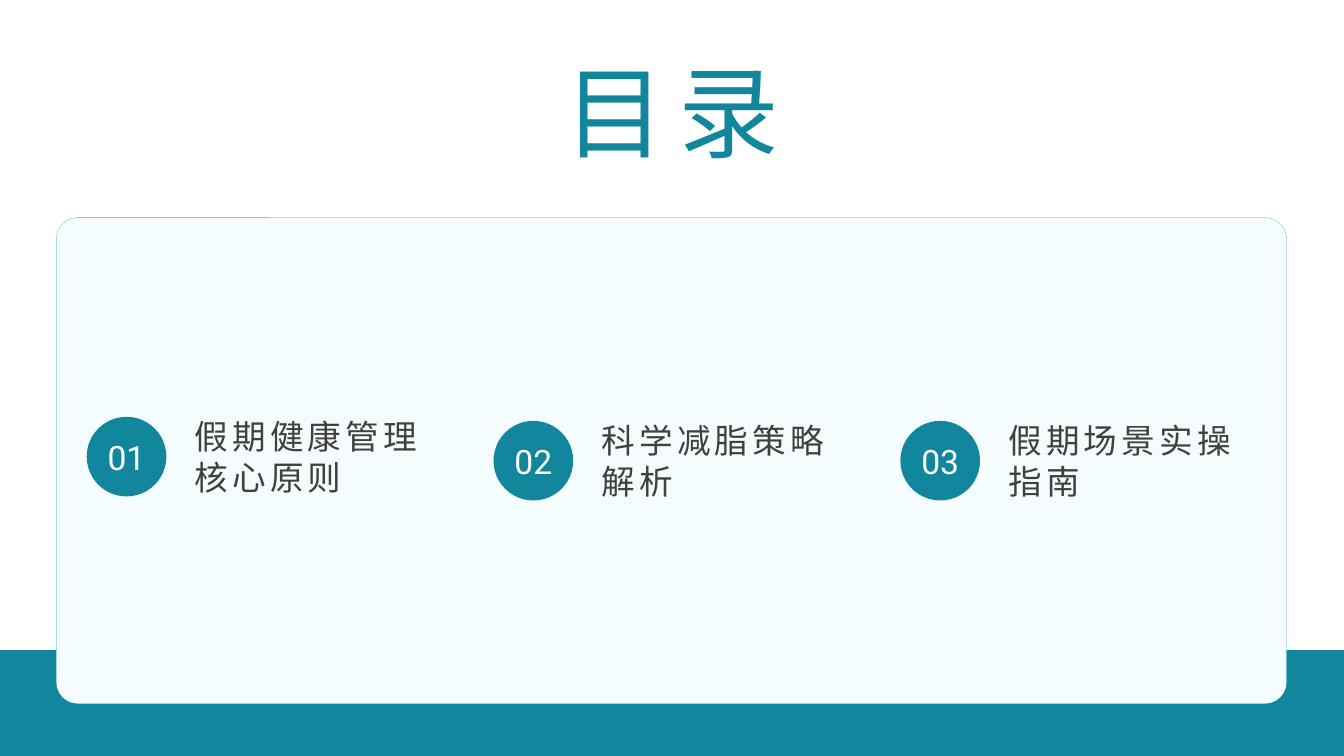
from pptx import Presentation
from pptx.dml.color import RGBColor
from pptx.enum.shapes import MSO_SHAPE
from pptx.enum.text import MSO_ANCHOR, MSO_AUTO_SIZE, PP_ALIGN
from pptx.oxml.ns import qn
from pptx.util import Inches, Pt
from lxml import etree

WIDTH, HEIGHT = 13.33, 7.5
FONT = "Roboto"
COLORS = {"teal": "11869C", "mist": "F4FCFE", "white": "FFFFFF", "ink": "404040"}
CHAPTERS = [
    ("01", "假期健康管理核心原则", -0.04),
    ("02", "科学减脂策略解析", 0),
    ("03", "假期场景实操指南", 0),
]


def rgb(name):
    return RGBColor.from_string(COLORS[name])


def place(shape, box):
    shape.left, shape.top, shape.width, shape.height = map(Inches, box)


def write(shape, text, size=24, color="ink", align=PP_ALIGN.LEFT, spacing=0):
    frame = shape.text_frame
    frame.word_wrap = True
    frame.auto_size = MSO_AUTO_SIZE.NONE
    frame.vertical_anchor = MSO_ANCHOR.MIDDLE
    frame.margin_left = frame.margin_right = frame.margin_top = frame.margin_bottom = 0
    paragraph = frame.paragraphs[0]
    paragraph.alignment = align
    run = paragraph.add_run()
    run.text = text
    run.font.size = Pt(size)
    run.font.name = FONT
    run.font.color.rgb = rgb(color)
    properties = run.font._element
    etree.SubElement(properties, qn("a:ea"), typeface=FONT)
    if spacing:
        properties.set("spc", str(spacing * 100))


def draw(slide, kind, box, fill, line=None, opacity=None, corner=None):
    shape = slide.shapes.add_shape(kind, *map(Inches, box))
    shape.shadow.inherit = False
    shape.fill.solid()
    shape.fill.fore_color.rgb = rgb(fill)
    if opacity is not None:
        tint = shape._element.spPr.find(qn("a:solidFill"))[0]
        etree.SubElement(tint, qn("a:alpha"), val=str(opacity * 1000))
    if line:
        shape.line.color.rgb = rgb(line)
        shape.line.width = Pt(0.25)
    else:
        shape.line.fill.background()
    if corner is not None:
        shape.adjustments[0] = corner
    return shape


def add_heading(slide, box):
    heading = slide.shapes.title
    place(heading, box)
    write(heading, "目录", size=72, color="teal", align=PP_ALIGN.CENTER, spacing=10)


def add_backdrop(slide, card):
    band = (0, HEIGHT * 0.86, WIDTH, HEIGHT * 0.14)
    draw(slide, MSO_SHAPE.RECTANGLE, band, "teal")
    draw(slide, MSO_SHAPE.ROUNDED_RECTANGLE, card, "white", line="teal", corner=0.044)
    draw(slide, MSO_SHAPE.ROUNDED_RECTANGLE, card, "mist", opacity=85, corner=0.044)


def add_chapter(slide, box, number, topic):
    left, top, width, height = box
    badge_size = 0.79
    topic_left = 1.07
    badge_box = (left, top + (height - badge_size) / 2, badge_size, badge_size)
    badge = draw(slide, MSO_SHAPE.OVAL, badge_box, "teal")
    write(badge, number, color="white", align=PP_ALIGN.CENTER)
    topic_box = (left + topic_left, top, width - topic_left, height)
    label = slide.shapes.add_textbox(*map(Inches, topic_box))
    write(label, topic, spacing=3)


def add_contents(slide, card):
    left, top, width, height = card
    pitch = 4.035
    chapter_width, chapter_height = 3.46, 1.89
    row_top = top + (height - chapter_height) / 2
    for column, (number, topic, shift) in enumerate(CHAPTERS):
        box = (left + 0.3 + column * pitch, row_top + shift, chapter_width, chapter_height)
        add_chapter(slide, box, number, topic)


def main():
    deck = Presentation()
    deck.slide_width, deck.slide_height = Inches(WIDTH), Inches(HEIGHT)
    slide = deck.slides.add_slide(deck.slide_layouts[5])
    card = (0.56, 2.16, 12.2, 4.82)
    add_backdrop(slide, card)
    add_heading(slide, (3.1, 0.43, 7.13, 1.33))
    add_contents(slide, card)
    deck.save("out.pptx")


if __name__ == "__main__":
    main()
